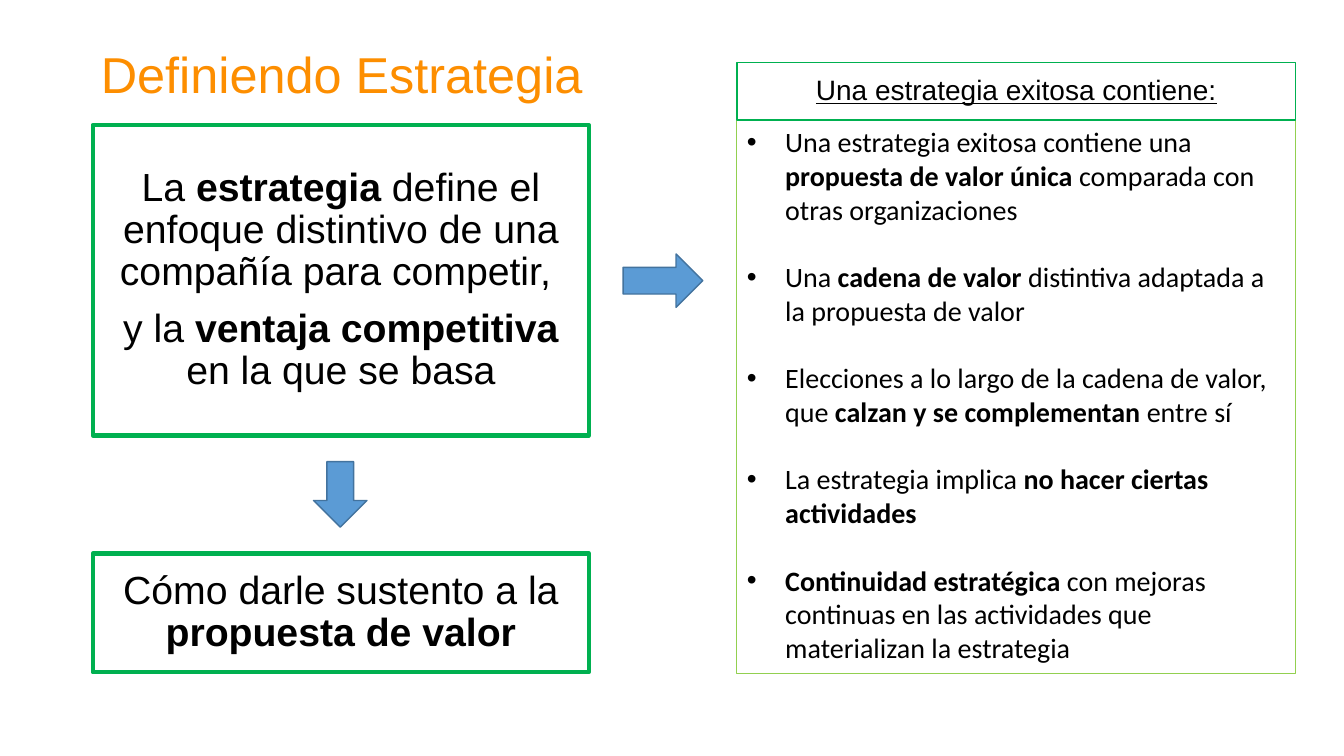
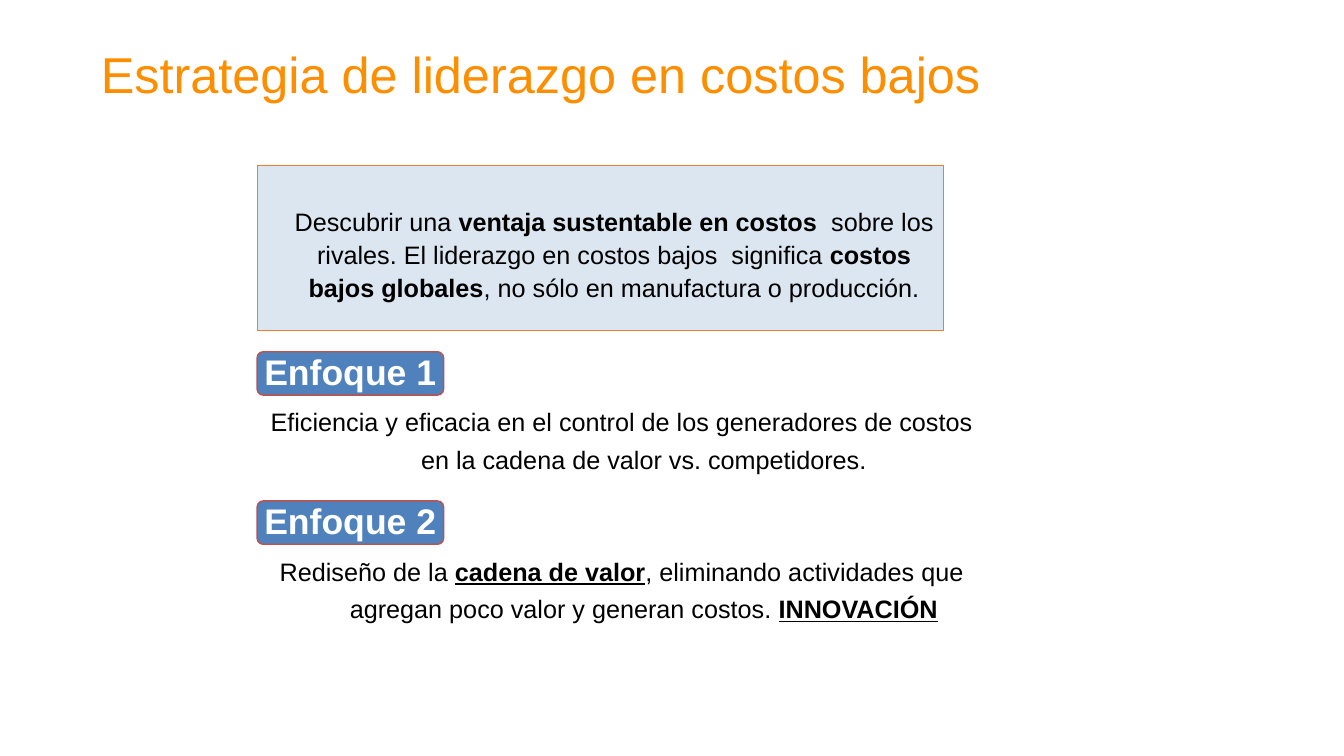
from dataclasses import dataclass

from lxml.etree import SubElement
from pptx import Presentation
from pptx.dml.color import RGBColor
from pptx.enum.shapes import MSO_SHAPE as SHAPE
from pptx.enum.text import MSO_ANCHOR as ANCHOR, PP_ALIGN as ALIGN
from pptx.oxml.ns import qn
from pptx.util import Inches, Pt


@dataclass(frozen=True)
class Theme:
    heading_font: str = "Arial"
    list_font: str = "Calibri"
    ink: str = "000000"
    white: str = "FFFFFF"
    orange: str = "FD8E00"
    green: str = "00B050"
    lime: str = "92D050"
    arrow_fill: str = "5B9BD5"
    arrow_edge: str = "43739E"
    panel_fill: str = "DCE6F1"
    panel_edge: str = "ED7D31"
    tag_fill: str = "4F81BC"
    tag_edge: str = "BF504D"
    title_size: float = 36
    statement_size: float = 28
    tag_size: float = 25.4
    list_size: float = 20
    text_size: float = 18


THEME = Theme()
TITLE_BOX = (0.92, 0.4, 11.5, 0.74)


# Shared parts: boxes are (left, top, width, height) in inches
def add_box(slide, box, kind=SHAPE.RECTANGLE, fill=None, edge=None, weight=1):
    shape = slide.shapes.add_shape(kind, *map(Inches, box))
    shape.shadow.inherit = False
    if fill:
        shape.fill.solid()
        shape.fill.fore_color.rgb = RGBColor.from_string(fill)
    else:
        shape.fill.background()
    shape.line.color.rgb = RGBColor.from_string(edge)
    shape.line.width = Pt(weight)
    return shape


def set_frame(shape, anchor=ANCHOR.MIDDLE, insets=(0.1, 0.05, 0.1, 0.05)):
    frame = shape.text_frame
    frame.word_wrap = True
    frame.vertical_anchor = anchor
    (frame.margin_left, frame.margin_top,
     frame.margin_right, frame.margin_bottom) = map(Inches, insets)
    return frame


def write(frame, paragraphs, size, font=THEME.heading_font, color=THEME.ink,
          align=ALIGN.CENTER, spacing=1.0, before=0, indent=(0, 0), bullet=None):
    """Each paragraph is a list of (text, marks); marks may hold b and u."""
    for index, runs in enumerate(paragraphs):
        paragraph = frame.add_paragraph() if index else frame.paragraphs[0]
        paragraph.alignment = align
        paragraph.line_spacing = spacing
        paragraph.space_before = Pt(before if index else 0)
        properties = paragraph._p.get_or_add_pPr()
        properties.set("marL", str(Inches(indent[0])))
        properties.set("indent", str(Inches(indent[1])))
        if bullet:
            SubElement(properties, qn("a:buFont")).set("typeface", "Arial")
            SubElement(properties, qn("a:buChar")).set("char", bullet)
        for text, marks in runs:
            run = paragraph.add_run()
            run.text = text
            run.font.name = font
            run.font.size = Pt(size)
            run.font.color.rgb = RGBColor.from_string(color)
            run.font.bold = "b" in marks
            run.font.underline = "u" in marks


def add_slide(deck, title):
    slide = deck.slides.add_slide(deck.slide_layouts[6])
    heading = slide.shapes.add_textbox(*map(Inches, TITLE_BOX))
    write(set_frame(heading, insets=(0.08,) * 4), [[(title, "")]],
          THEME.title_size, color=THEME.orange, align=ALIGN.LEFT, spacing=0.9)
    return slide


# Definition slide
def add_statement(slide, box, paragraphs):
    card = add_box(slide, box, edge=THEME.green, weight=3)
    write(set_frame(card), paragraphs, THEME.statement_size, spacing=0.9, before=10)


def add_arrow(slide, box, kind):
    add_box(slide, box, kind, THEME.arrow_fill, THEME.arrow_edge)


def add_checklist(slide, box, heading, items, heading_height=0.57):
    left, top, width, height = box
    body = add_box(slide, (left, top + heading_height, width, height - heading_height),
                   edge=THEME.lime, weight=0.75)
    write(set_frame(body, ANCHOR.TOP), items, THEME.list_size, THEME.list_font,
          align=ALIGN.LEFT, before=24.2, indent=(0.38, -0.38), bullet="•")
    header = add_box(slide, (left, top, width, heading_height), edge=THEME.green)
    write(set_frame(header), [[(heading, "u")]], THEME.list_size, spacing=0.9)


def build_definition(deck):
    slide = add_slide(deck, "Definiendo Estrategia")
    left, width = 0.92, 4.92
    add_statement(slide, (left, 1.24, width, 3.08), [
        [("La ", ""), ("estrategia", "b"),
         (" define el enfoque distintivo de una compañía para competir, ", "")],
        [("y la ", ""), ("ventaja competitiva", "b"), (" en la que se basa", "")],
    ])
    add_statement(slide, (left, 5.49, width, 1.18), [
        [("Cómo darle sustento a la ", ""), ("propuesta de valor", "b")],
    ])
    add_arrow(slide, (3.11, 4.58, 0.53, 0.65), SHAPE.DOWN_ARROW)
    add_arrow(slide, (6.18, 2.52, 0.79, 0.53), SHAPE.RIGHT_ARROW)
    add_checklist(slide, (7.31, 0.62, 5.54, 6.06), "Una estrategia exitosa contiene:", [
        [("Una estrategia exitosa contiene una ", ""), ("propuesta de valor única ", "b"),
         ("comparada con otras organizaciones", "")],
        [("Una ", ""), ("cadena de valor", "b"),
         (" distintiva adaptada a la propuesta de valor", "")],
        [("Elecciones a lo largo de la cadena de valor, que ", ""),
         ("calzan y se complementan ", "b"), ("entre sí", "")],
        [("La estrategia implica ", ""), ("no hacer ciertas actividades", "b")],
        [("Continuidad estratégica ", "b"),
         ("con mejoras continuas en las actividades que materializan la estrategia", "")],
    ])


# Low-cost slide
def add_summary(slide, box, runs):
    panel = add_box(slide, box, fill=THEME.panel_fill, edge=THEME.panel_edge, weight=0.75)
    write(set_frame(panel, insets=(0, 0.1, 0, 0)), [runs], THEME.text_size,
          spacing=1.1, indent=(0.27, 0))


def add_approach(slide, left, top, label, runs):
    tag = add_box(slide, (left, top, 1.85, 0.43), SHAPE.ROUNDED_RECTANGLE,
                  THEME.tag_fill, THEME.tag_edge)
    tag.adjustments[0] = 0.14
    write(set_frame(tag, insets=(0, 0, 0, 0.04)), [[(label, "b")]],
          THEME.tag_size, color=THEME.white)
    detail = slide.shapes.add_textbox(*map(Inches, (left + 0.05, top + 0.47, 7.12, 0.73)))
    write(set_frame(detail, ANCHOR.TOP, (0,) * 4), [runs], THEME.text_size,
          spacing=1.25, indent=(0.45, -0.44))


def build_low_cost(deck):
    slide = add_slide(deck, "Estrategia de liderazgo en costos bajos")
    left = 2.55
    add_summary(slide, (left, 1.64, 6.81, 1.64), [
        ("Descubrir una ", ""), ("ventaja sustentable en costos  ", "b"),
        ("sobre los rivales. El liderazgo en costos bajos  significa ", ""),
        ("costos bajos globales", "b"), (", no sólo en manufactura o producción.", ""),
    ])
    approaches = [
        [("Eficiencia y eficacia en el control de los generadores de costos "
          "en la cadena de valor vs. competidores.", "")],
        [("Rediseño de la ", ""), ("cadena de valor", "bu"),
         (", eliminando actividades que agregan poco valor y generan costos. ", ""),
         ("INNOVACIÓN", "bu")],
    ]
    for index, runs in enumerate(approaches):
        add_approach(slide, left, 3.49 + 1.48 * index, f"Enfoque {index + 1}", runs)


def main():
    deck = Presentation()
    deck.slide_width, deck.slide_height = Inches(13.33), Inches(7.5)
    build_definition(deck)
    build_low_cost(deck)
    deck.save("out.pptx")


if __name__ == "__main__":
    main()
